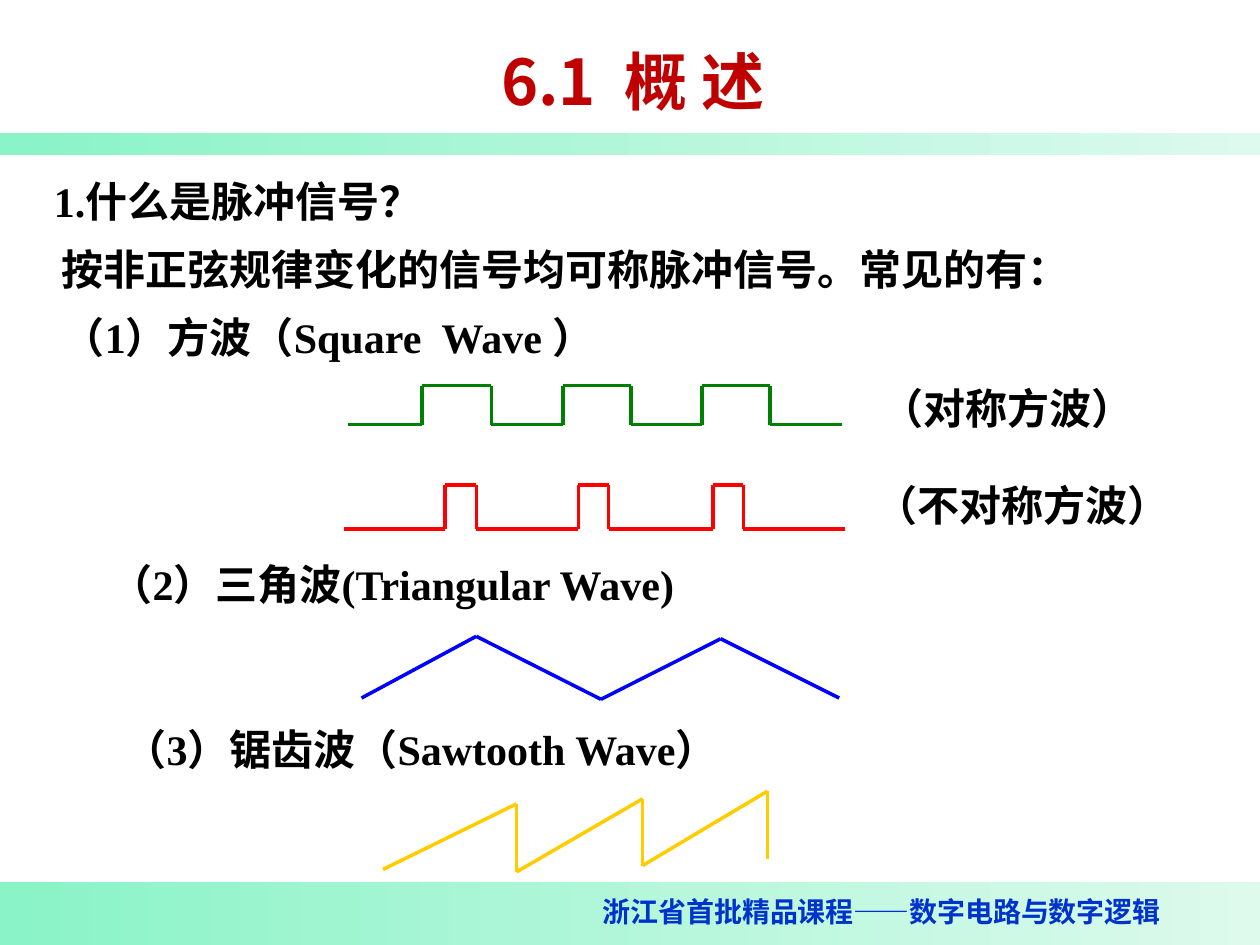
from dataclasses import dataclass
from itertools import pairwise

from pptx import Presentation
from pptx.dml.color import RGBColor
from pptx.enum.shapes import MSO_CONNECTOR as Connector, MSO_SHAPE as Preset
from pptx.enum.text import MSO_ANCHOR as Anchor, PP_ALIGN as Align
from pptx.oxml.xmlchemy import OxmlElement
from pptx.slide import Slide
from pptx.text.text import TextFrame
from pptx.util import Inches, Pt

Point = tuple[float, float]


@dataclass(frozen=True)
class Theme:
    band_start: str = "8AF3C7"
    band_end: str = "DDFAED"
    title: str = "C00000"
    body: str = "000000"
    footer: str = "0033CC"
    symmetric: str = "008000"
    asymmetric: str = "FF0000"
    triangle: str = "0000FF"
    sawtooth: str = "FFCC00"
    title_size: int = 36
    body_size: int = 24
    footer_size: int = 16
    wave_width: int = 2
    latin_font: str = "Times New Roman"
    chinese_font: str = "Noto Sans CJK SC"


THEME = Theme()


@dataclass(frozen=True)
class Label:
    text: str
    left: float
    top: float
    width: float
    height: float = 0.5
    size: int = THEME.body_size
    color: str = THEME.body
    font: str = THEME.latin_font
    align: Align = Align.LEFT


@dataclass(frozen=True)
class Wave:
    color: str
    points: list[Point]


@dataclass(frozen=True)
class Band:
    top: float
    height: float


def square_points(start: float, edges: list[float], end: float,
                  high: float, low: float) -> list[Point]:
    points = [(start, low)]
    for index, edge in enumerate(edges):
        levels = (low, high) if index % 2 == 0 else (high, low)
        points += [(edge, level) for level in levels]
    return points + [(end, low)]


BANDS = [Band(7, 0.5), Band(1.06, 0.17)]

TITLE = Label("6.1  概 述", 3.57, 0.26, 2.91, 0.75, THEME.title_size,
              THEME.title, THEME.chinese_font, Align.CENTER)

LABELS = [
    Label("浙江省首批精品课程——数字电路与数字逻辑", 4.5, 7.05, 5, 0.37,
          THEME.footer_size, THEME.footer, THEME.chinese_font, Align.CENTER),
    Label("1.什么是脉冲信号？", 0.33, 1.34, 3.87),
    Label("按非正弦规律变化的信号均可称脉冲信号。常见的有：", 0.39, 1.88, 9.15),
    Label("（1）方波（Square  Wave ）", 0.4, 2.42, 5.41),
    Label("（对称方波）", 6.9, 2.99, 2.33),
    Label("（不对称方波）", 6.85, 3.76, 2.56),
    Label("（2）三角波(Triangular Wave)", 0.78, 4.38, 5.2),
    Label("（3）锯齿波（Sawtooth Wave）", 0.89, 5.69, 5.85),
]

WAVES = [
    Wave(THEME.symmetric, square_points(
        2.76, [3.35, 3.9, 4.47, 5.01, 5.57, 6.11], 6.68, 3.06, 3.37)),
    Wave(THEME.asymmetric, square_points(
        2.73, [3.53, 3.78, 4.59, 4.83, 5.66, 5.9], 6.71, 3.85, 4.2)),
    Wave(THEME.triangle, [
        (2.87, 5.54), (3.78, 5.05), (4.77, 5.55), (5.72, 5.07), (6.66, 5.54)]),
    Wave(THEME.sawtooth, [
        (3.04, 6.9), (4.1, 6.38), (4.1, 6.92), (5.1, 6.34), (5.1, 6.87),
        (6.09, 6.28), (6.09, 6.82)]),
]


def write_text(text_frame: TextFrame, label: Label) -> None:
    text_frame.text = label.text
    text_frame.word_wrap = True
    paragraph = text_frame.paragraphs[0]
    paragraph.alignment = label.align
    for run in paragraph.runs:
        run.font.size = Pt(label.size)
        run.font.bold = True
        run.font.color.rgb = RGBColor.from_string(label.color)
        run.font.name = label.font
        east_asian = OxmlElement("a:ea")
        east_asian.set("typeface", THEME.chinese_font)
        run.font._element.append(east_asian)


def draw_band(slide: Slide, band: Band) -> None:
    shape = slide.shapes.add_shape(
        Preset.RECTANGLE, 0, Inches(band.top), Inches(10), Inches(band.height))
    shape.shadow.inherit = False
    shape.line.fill.background()
    shape.fill.gradient()
    shape.fill.gradient_angle = 0
    colors = (THEME.band_start, THEME.band_end)
    for stop, position, color in zip(shape.fill.gradient_stops, (0, 1), colors):
        stop.position = position
        stop.color.rgb = RGBColor.from_string(color)


def draw_label(slide: Slide, label: Label) -> None:
    shape = slide.shapes.add_textbox(
        Inches(label.left), Inches(label.top),
        Inches(label.width), Inches(label.height))
    write_text(shape.text_frame, label)


def draw_title(slide: Slide, label: Label) -> None:
    shape = slide.shapes.title
    shape.left, shape.top = Inches(label.left), Inches(label.top)
    shape.width, shape.height = Inches(label.width), Inches(label.height)
    write_text(shape.text_frame, label)
    shape.text_frame.vertical_anchor = Anchor.MIDDLE


def draw_wave(slide: Slide, wave: Wave) -> None:
    group = slide.shapes.add_group_shape()
    for start, end in pairwise(wave.points):
        connector = group.shapes.add_connector(
            Connector.STRAIGHT, *map(Inches, start + end))
        connector.line.color.rgb = RGBColor.from_string(wave.color)
        connector.line.width = Pt(THEME.wave_width)
        connector._element.spPr.append(OxmlElement("a:effectLst"))


def main() -> None:
    presentation = Presentation()
    presentation.slide_width = Inches(10)
    presentation.slide_height = Inches(7.5)
    slide = presentation.slides.add_slide(presentation.slide_layouts[5])
    for band in BANDS:
        draw_band(slide, band)
    draw_title(slide, TITLE)
    for label in LABELS:
        draw_label(slide, label)
    for wave in WAVES:
        draw_wave(slide, wave)
    presentation.save("out.pptx")


if __name__ == "__main__":
    main()
